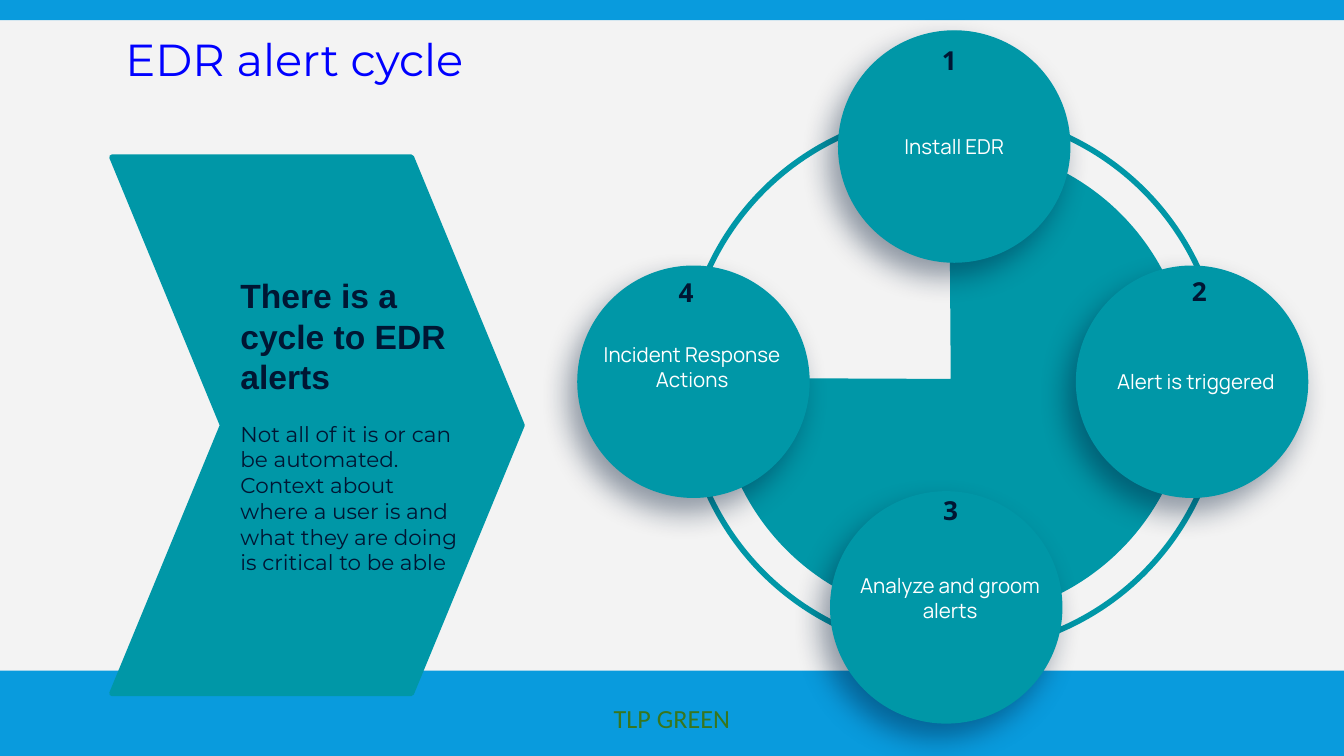
from dataclasses import dataclass
from typing import Optional

from lxml import etree
from pptx import Presentation
from pptx.dml.color import RGBColor
from pptx.enum.shapes import MSO_SHAPE
from pptx.enum.text import MSO_ANCHOR, MSO_AUTO_SIZE, PP_ALIGN
from pptx.oxml.ns import qn
from pptx.util import Pt

RECT = MSO_SHAPE.RECTANGLE
OVAL = MSO_SHAPE.OVAL
CHEVRON = MSO_SHAPE.CHEVRON
PIE = MSO_SHAPE.PIE
TOP, MIDDLE = MSO_ANCHOR.TOP, MSO_ANCHOR.MIDDLE
LEFT, CENTER, RIGHT = PP_ALIGN.LEFT, PP_ALIGN.CENTER, PP_ALIGN.RIGHT
NONE = MSO_AUTO_SIZE.NONE

TEAL, BLUE, NAVY = "0097A7", "099BDD", "001633"
WIDE, HIGH = 720, 405
DISC = 123.8
PAD = 7.2


@dataclass
class Box:
    x: float
    y: float
    w: float
    h: float

    def place(self) -> tuple:
        return Pt(self.x), Pt(self.y), Pt(self.w), Pt(self.h)


@dataclass
class Font:
    name: str
    size: float
    color: str
    bold: bool = False


@dataclass
class Step:
    mark: str
    text: str
    disc: Box
    label: Box
    badge: Box
    lift: float = 0
    align: PP_ALIGN = LEFT


HEAD = Font("Montserrat", 24, "0000FF")
LEAD = Font("Arial", 18, NAVY, True)
BODY = Font("Montserrat", 11.5, NAVY)
LABEL = Font("Manrope", 11, "FFFFFF")
BADGE = Font("Open Sans", 14, NAVY, True)
FOOT = Font("Calibri", 14, "38761D")

STEPS = [
    Step("4", "Incident Response Actions", Box(309.6, 142.6, DISC, DISC),
         Box(308.9, 142.6, DISC, 121), Box(352.8, 141.1, 25.9, 31.7), 13, RIGHT),
    Step("1", "Install EDR", Box(449.3, 16.6, DISC, DISC),
         Box(449.3, 16.6, DISC, DISC), Box(497.5, 16.6, 29.5, 31.7)),
    Step("3", "Analyze and groom alerts", Box(445, 263.5, DISC, DISC),
         Box(449.3, 266.4, 119.5, 121), Box(498.2, 257.8, 29.5, 31.7), 13),
    Step("2", "Alert is triggered", Box(576.7, 142.6, DISC, DISC),
         Box(581, 142.6, 119.5, DISC), Box(631.4, 140.4, 25.2, 31.7)),
]


def paint(target, color: str) -> None:
    target.solid()
    target.fore_color.rgb = RGBColor.from_string(color)


def draw(slide, kind, box: Box, fill: Optional[str], line: float = 0):
    shape = slide.shapes.add_shape(kind, *box.place())
    shape.shadow.inherit = False
    if fill:
        paint(shape.fill, fill)
    else:
        shape.fill.background()
    if line:
        paint(shape.line.fill, TEAL)
        shape.line.width = Pt(line)
    else:
        shape.line.fill.background()
    return shape


def shade(shape) -> None:
    effects = shape._element.spPr.find(qn("a:effectLst"))
    outer = etree.SubElement(
        effects, qn("a:outerShdw"), blurRad=str(Pt(15.8)), dist=str(Pt(9)),
        dir=str(125 * 60000), algn="bl", rotWithShape="0")
    tint = etree.SubElement(outer, qn("a:srgbClr"), val=NAVY)
    etree.SubElement(tint, qn("a:alpha"), val="41000")


def style(para, text: str, font: Font, align: PP_ALIGN) -> None:
    para.text = text
    para.alignment = align
    para.font.name = font.name
    para.font.size = Pt(font.size)
    para.font.bold = font.bold
    paint(para.font.fill, font.color)


def fit(frame, anchor: MSO_ANCHOR, lift: float = 0) -> None:
    frame.word_wrap = True
    frame.auto_size = NONE
    frame.vertical_anchor = anchor
    frame.margin_left = frame.margin_right = frame.margin_top = Pt(PAD)
    frame.margin_bottom = Pt(PAD + lift)


def write(slide, box: Box, text: str, font: Font, align: PP_ALIGN,
          anchor: MSO_ANCHOR, lift: float = 0):
    frame = slide.shapes.add_textbox(*box.place()).text_frame
    fit(frame, anchor, lift)
    style(frame.paragraphs[0], text, font, align)
    return frame


def main() -> None:
    deck = Presentation()
    deck.slide_width, deck.slide_height = Pt(WIDE), Pt(HIGH)
    slide = deck.slides.add_slide(deck.slide_layouts[5])
    paint(slide.background.fill, "F3F3F3")

    title = slide.shapes.title
    title.left, title.top, title.width, title.height = Box(60, 10, 575.3, 74.2).place()
    fit(title.text_frame, TOP)
    style(title.text_frame.paragraphs[0], "EDR alert cycle", HEAD, LEFT)

    foot = draw(slide, RECT, Box(0, 359.3, WIDE, 51.1), BLUE)
    foot.text_frame.vertical_anchor = MIDDLE
    style(foot.text_frame.paragraphs[0], "TLP GREEN", FOOT, CENTER)
    draw(slide, RECT, Box(0, 0, WIDE, 10.8), BLUE)

    arrow = draw(slide, CHEVRON, Box(60, 84.2, 219.6, 287.3), TEAL, 3)
    arrow.adjustments[0] = 0.27
    note = write(slide, Box(121.7, 84.2, 130.3, 287.3),
                 "There is a cycle to EDR alerts", LEAD, LEFT, MIDDLE)
    body = note.add_paragraph()
    style(body, "Not all of it is or can be automated. Context about where a user "
          "is and what they are doing is critical to be able", BODY, LEFT)
    body.space_before = Pt(13)

    draw(slide, OVAL, Box(366.5, 59.8, 288.7, 289.4), None, 3)
    pie = draw(slide, PIE, Box(385.2, 79.2, 251.3, 250.6), TEAL, 3)
    pie.rotation = 270
    pie.adjustments[0], pie.adjustments[1] = 215.77, 162.15

    for step in STEPS:
        shade(draw(slide, OVAL, step.disc, TEAL, 0.75))
    for step in STEPS:
        write(slide, step.label, step.text, LABEL, CENTER, MIDDLE, step.lift)
        write(slide, step.badge, step.mark, BADGE, step.align, TOP)

    deck.save("out.pptx")


if __name__ == "__main__":
    main()
